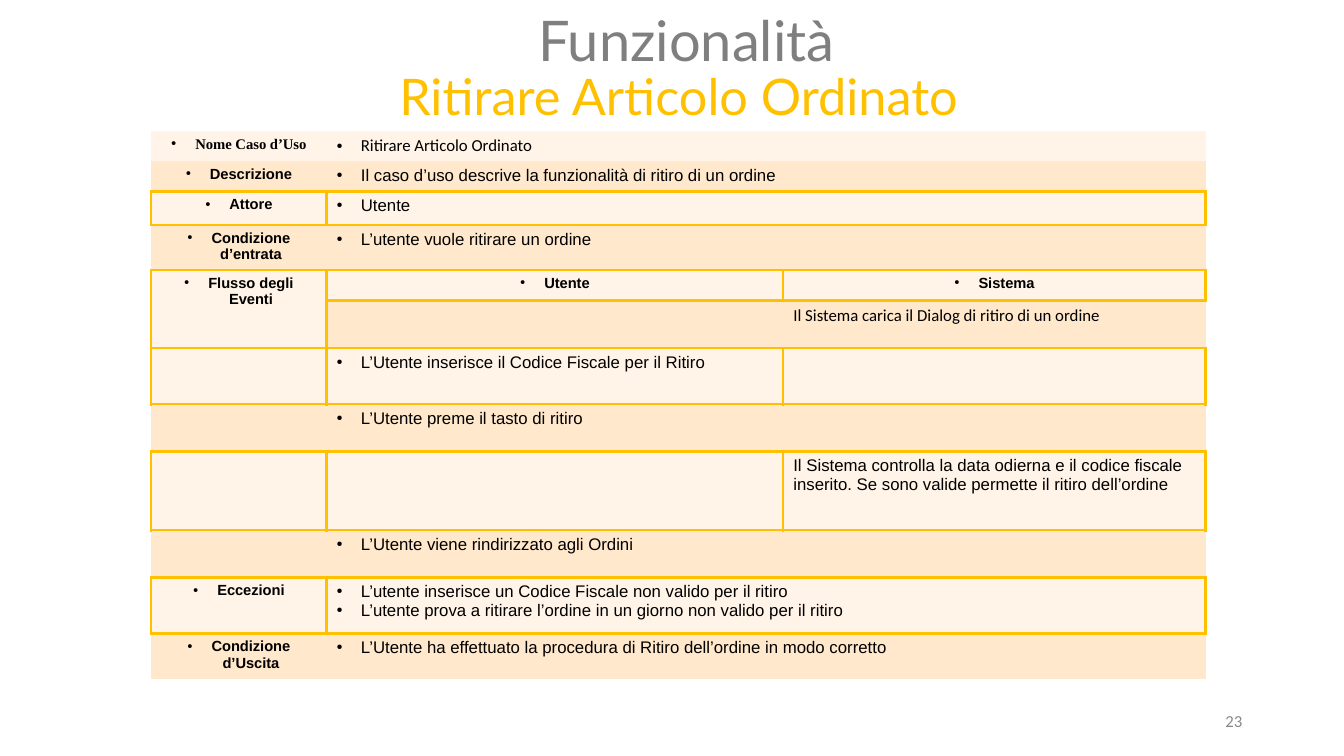
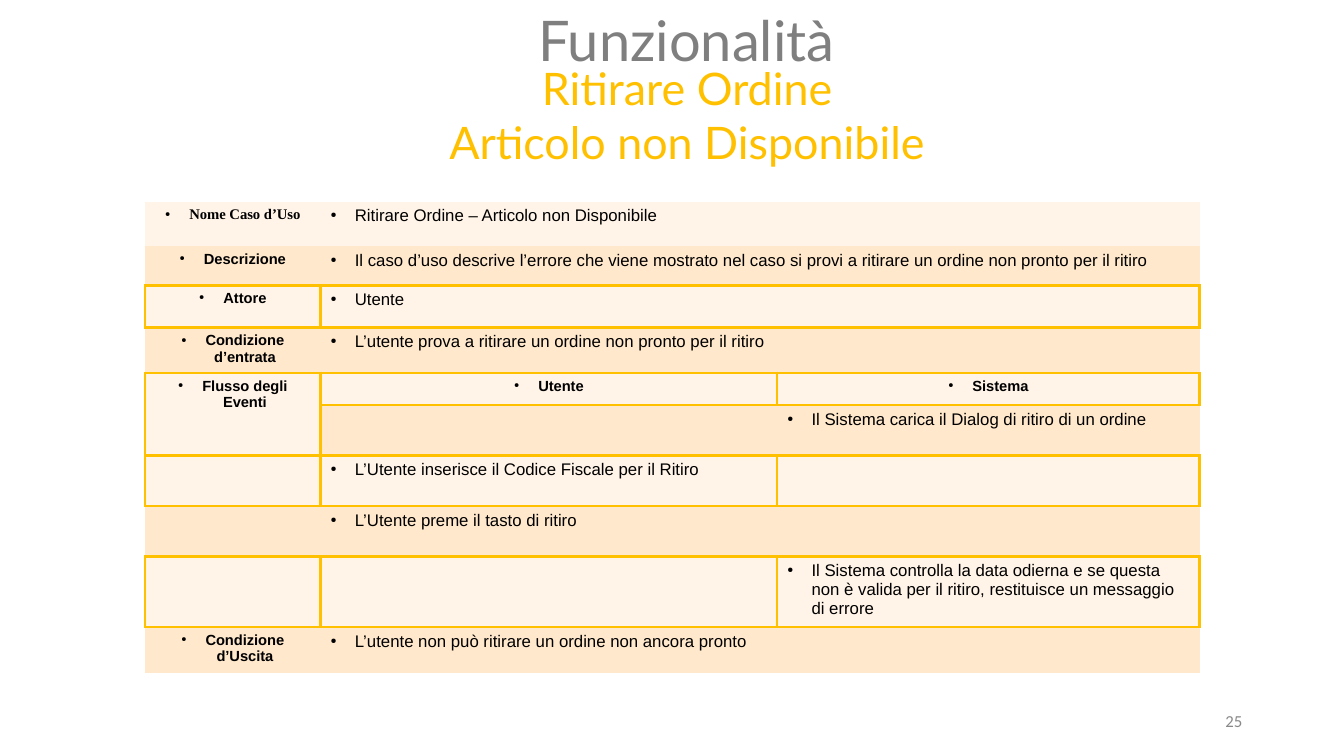
from dataclasses import dataclass

from pptx import Presentation
from pptx.dml.color import RGBColor
from pptx.enum.text import MSO_ANCHOR as Anchor, MSO_AUTO_SIZE as AutoSize, PP_ALIGN as Align
from pptx.oxml import parse_xml
from pptx.oxml.ns import nsdecls, qn
from pptx.util import Inches, Pt

WIDTH, HEIGHT = Inches(13.33), Inches(7.5)
GREY, GOLD, NUMBER_GREY, BLACK = "7F7F7F", "FFC000", "898989", "000000"
LIGHT_BAND, DARK_BAND = "FFF4E7", "FFE8CB"
BORDER_WIDTH = Pt(1.98)
INDENT = Inches(0.24)
NO_TABLE_STYLE = "{2D5ABB26-0587-4C30-8999-92F81FD0307C}"
COLUMN_SHARES = (13.05, 33.98, 31.43)
FLOW_ROW = 4


def color(value):
    return RGBColor.from_string(value)


def across(share):
    return round(WIDTH * share / 100)


def down(share):
    return round(HEIGHT * share / 100)


def element(tag, attributes="", inner=""):
    return parse_xml(f"<a:{tag} {nsdecls('a')} {attributes}>{inner}</a:{tag}>")


@dataclass
class Entry:
    text: str
    font: str = "Arial"
    size: float = 12
    bold: bool = False
    bullet: bool = True
    align: Align = Align.LEFT


def label(text, font="Arial"):
    return Entry(text, font, 10.5, True, True, Align.CENTER)


class Deck:
    """Holds the shared style and the current slide."""

    def __init__(self):
        self.presentation = Presentation()
        self.presentation.slide_width, self.presentation.slide_height = WIDTH, HEIGHT
        self.slide = None

    def add_slide(self, number):
        self.slide = self.presentation.slides.add_slide(self.presentation.slide_layouts[1])
        self.heading(self.slide.shapes.title, (37.95, 0, 26.25, 10.27), "Funzionalità", 40, GREY)
        self.number(number)

    def run(self, paragraph, text, font, size, text_color, bold=False):
        run = paragraph.add_run()
        run.text = text
        run.font.name, run.font.size, run.font.bold = font, Pt(size), bold
        run.font.color.rgb = color(text_color)

    def paragraphs(self, frame, text):
        for index, line in enumerate(text.split("\n")):
            yield (frame.add_paragraph() if index else frame.paragraphs[0]), line

    def heading(self, shape, box, text, size, text_color, align=Align.CENTER):
        left, top, width, height = box
        shape.left, shape.top = across(left), down(top)
        shape.width, shape.height = across(width), down(height)
        frame = shape.text_frame
        frame.word_wrap, frame.auto_size = True, AutoSize.NONE
        frame.vertical_anchor = Anchor.TOP
        for paragraph, line in self.paragraphs(frame, text):
            paragraph.alignment = align
            paragraph.space_before, paragraph.line_spacing = Pt(0), 1.0
            properties = paragraph._p.get_or_add_pPr()
            properties.set("marL", "0")
            properties.set("indent", "0")
            properties.append(element("buNone"))
            self.run(paragraph, line, "Lato", size, text_color)

    def subtitle(self, box, text, size, align=Align.CENTER):
        self.heading(self.slide.placeholders[1], box, text, size, GOLD, align)

    def number(self, number):
        shape = self.slide.shapes.add_textbox(across(70.67), down(92.67), across(22.5), down(5.33))
        frame = shape.text_frame
        frame.word_wrap, frame.vertical_anchor = True, Anchor.MIDDLE
        frame.paragraphs[0].alignment = Align.RIGHT
        self.run(frame.paragraphs[0], str(number), "Calibri", 12, NUMBER_GREY)

    def bullet(self, paragraph):
        properties = paragraph._p.get_or_add_pPr()
        properties.set("marL", str(INDENT))
        properties.set("indent", str(-INDENT))
        properties.append(element("buClr", inner=f'<a:srgbClr val="{BLACK}"/>'))
        properties.append(element("buSzPct", 'val="45000"'))
        properties.append(element("buChar", 'char="●"'))

    def style_cell(self, cell, row):
        cell.fill.solid()
        cell.fill.fore_color.rgb = color(DARK_BAND if row % 2 else LIGHT_BAND)
        if row and row % 2 == 0:
            properties = cell._tc.get_or_add_tcPr()
            fill = f'<a:solidFill><a:srgbClr val="{GOLD}"/></a:solidFill>'
            for position, side in enumerate("LRTB"):
                properties.insert(position, element(f"ln{side}", f'w="{BORDER_WIDTH}"', fill))

    def write_cell(self, cell, entry):
        for paragraph, line in self.paragraphs(cell.text_frame, entry.text):
            paragraph.alignment = entry.align
            if entry.bullet:
                self.bullet(paragraph)
            self.run(paragraph, line, entry.font, entry.size, BLACK, entry.bold)

    def use_case(self, left, top, rows):
        shape = self.slide.shapes.add_table(
            len(rows), len(COLUMN_SHARES), across(left), down(top),
            across(sum(COLUMN_SHARES)), down(sum(height for height, *_ in rows)))
        for style in shape.element.iter(qn("a:tableStyleId")):
            style.text = NO_TABLE_STYLE
        table = shape.table
        table.first_row = table.horz_banding = False
        for column, share in zip(table.columns, COLUMN_SHARES):
            column.width = across(share)
        for row, (height, *entries) in enumerate(rows):
            table.rows[row].height = down(height)
            for column in range(len(COLUMN_SHARES)):
                in_flow_label = column == 0 and row == FLOW_ROW + 1
                self.style_cell(table.cell(row, column), FLOW_ROW if in_flow_label else row)
            for column, entry in enumerate(entries):
                if entry:
                    self.write_cell(table.cell(row, column), entry)
            if len(entries) == 2:
                table.cell(row, 1).merge(table.cell(row, 2))
        table.cell(FLOW_ROW, 0).merge(table.cell(FLOW_ROW + 1, 0))


NAME = label("Nome Caso d’Uso", "Times New Roman")
DESCRIPTION, ACTOR = label("Descrizione"), label("Attore")
ENTRY_CONDITION, EXIT_CONDITION = label("Condizione d’entrata"), label("Condizione d’Uscita")
FLOW = (label("Flusso degli Eventi"), label("Utente"), label("Sistema"))
USER = Entry("Utente")
ENTER_CODE = Entry("L’Utente inserisce il Codice Fiscale per il Ritiro")
PRESS_BUTTON = Entry("L’Utente preme il tasto di ritiro")
LOAD_DIALOG = "Il Sistema carica il Dialog di ritiro di un ordine"


def main():
    deck = Deck()

    deck.add_slide(23)
    deck.subtitle((28.96, 8, 44.26, 17.33), "Ritirare Articolo Ordinato", 36, Align.LEFT)
    deck.use_case(11.25, 17.33, [
        (4, NAME, Entry("Ritirare Articolo Ordinato", "Calibri")),
        (3.87, DESCRIPTION, Entry("Il caso d’uso descrive la funzionalità di ritiro di un ordine")),
        (4.4, ACTOR, USER),
        (5.6, ENTRY_CONDITION, Entry("L’utente vuole ritirare un ordine")),
        (4, *FLOW),
        (6.27, None, None, Entry(LOAD_DIALOG, "Calibri", bullet=False)),
        (7.47, None, ENTER_CODE, None),
        (6.27, None, PRESS_BUTTON, None),
        (10.4, None, None, Entry(
            "Il Sistema controlla la data odierna e il codice fiscale inserito. "
            "Se sono valide permette il ritiro dell’ordine", bullet=False)),
        (6.27, None, Entry("L’Utente viene rindirizzato agli Ordini"), None),
        (7.4, label("Eccezioni"), Entry(
            "L’utente inserisce un Codice Fiscale non valido per il ritiro\n"
            "L’utente prova a ritirare l’ordine in un giorno non valido per il ritiro")),
        (5.7, EXIT_CONDITION, Entry(
            "L’Utente ha effettuato la procedura di Ritiro dell’ordine in modo corretto")),
    ])

    deck.add_slide(25)
    deck.subtitle((29.48, 7.33, 43.29, 23.73), "Ritirare Ordine\nArticolo non Disponibile", 32)
    deck.use_case(10.8, 26.67, [
        (5.87, NAME, Entry("Ritirare Ordine – Articolo non Disponibile")),
        (5.2, DESCRIPTION, Entry(
            "Il caso d’uso descrive l’errore che viene mostrato nel caso si provi "
            "a ritirare un ordine non pronto per il ritiro")),
        (5.6, ACTOR, USER),
        (6, ENTRY_CONDITION, Entry("L’utente prova a ritirare un ordine non pronto per il ritiro")),
        (4.27, *FLOW),
        (6.67, None, None, Entry(LOAD_DIALOG)),
        (6.67, None, ENTER_CODE, None),
        (6.67, None, PRESS_BUTTON, None),
        (9.33, None, None, Entry(
            "Il Sistema controlla la data odierna e se questa non è valida per il ritiro, "
            "restituisce un messaggio di errore")),
        (6.13, EXIT_CONDITION, Entry("L’utente non può ritirare un ordine non ancora pronto")),
    ])

    deck.presentation.save("out.pptx")


if __name__ == "__main__":
    main()
